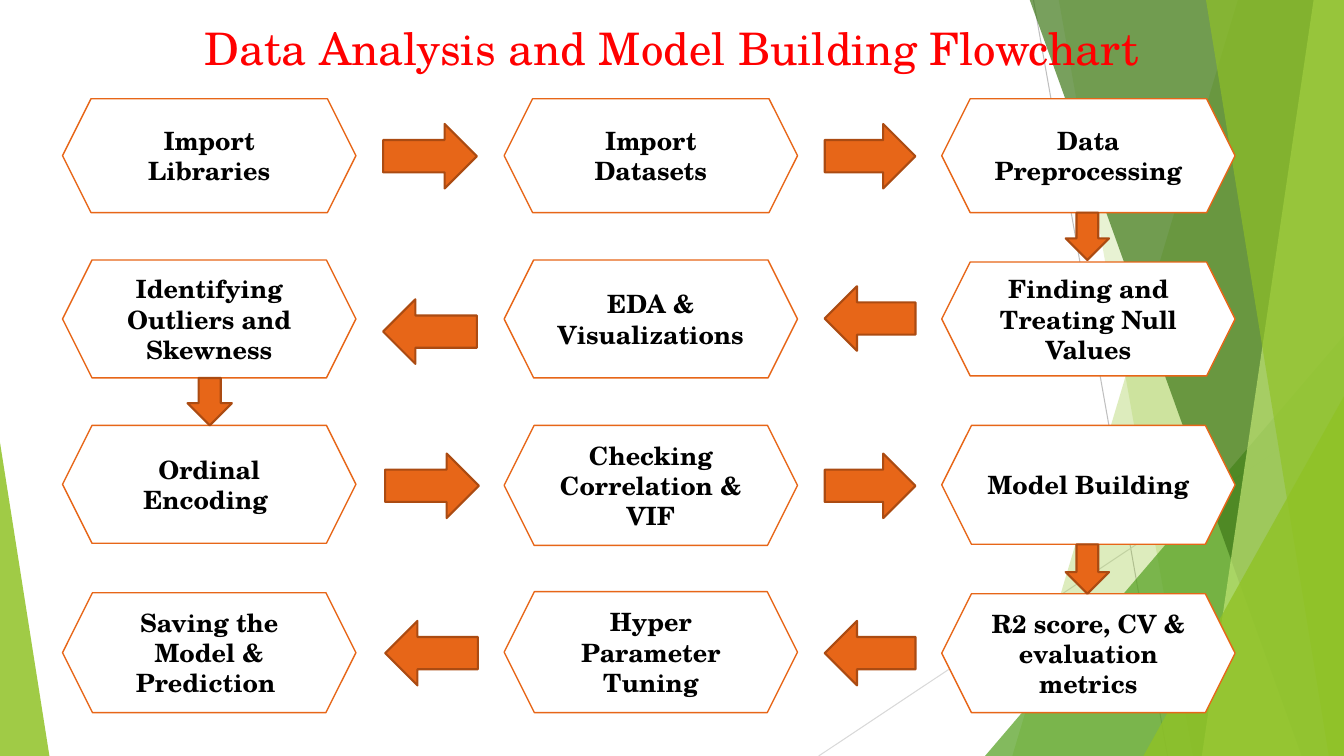
from lxml import etree
from pptx import Presentation
from pptx.dml.color import RGBColor
from pptx.enum.shapes import MSO_CONNECTOR, MSO_SHAPE
from pptx.enum.text import MSO_ANCHOR, MSO_AUTO_SIZE, PP_ALIGN
from pptx.oxml.ns import qn
from pptx.util import Inches, Pt

STRAIGHT = MSO_CONNECTOR.STRAIGHT
TRIANGLE = MSO_SHAPE.ISOSCELES_TRIANGLE
HEXAGON = MSO_SHAPE.HEXAGON
RIGHT = MSO_SHAPE.RIGHT_ARROW
LEFT = MSO_SHAPE.LEFT_ARROW
DOWN = MSO_SHAPE.DOWN_ARROW
CENTER = PP_ALIGN.CENTER

FONT = "TeX Gyre Schola"
COLORS = {
    "white": "FFFFFF", "black": "000000", "title": "FF0000",
    "orange": "E76618", "rust": "AB4B12",
    "green": "90C226", "mid green": "54A021", "dark green": "3F7819", "lime": "C0E474",
    "grey": "BFBFBF", "light grey": "D9D9D9",
}
WIDTH, HEIGHT = 13.33, 7.5


def paint(shape, fill, line=None, line_width=1, opacity=100):
    """Set fill, outline and fill opacity (percent) and drop the shadow."""
    shape.shadow.inherit = False
    shape.fill.solid()
    shape.fill.fore_color.rgb = RGBColor.from_string(COLORS[fill])
    if opacity < 100:
        color = shape.fill._xPr.find(qn("a:solidFill"))[0]
        etree.SubElement(color, qn("a:alpha")).set("val", str(opacity * 1000))
    if line:
        shape.line.color.rgb = RGBColor.from_string(COLORS[line])
        shape.line.width = Pt(line_width)
    else:
        shape.line.fill.background()


def write(shape, text, size, color, bold=False):
    frame = shape.text_frame
    frame.word_wrap = True
    frame.text = text
    paragraph = frame.paragraphs[0]
    paragraph.alignment = CENTER
    font = paragraph.runs[0].font
    font.name, font.size, font.bold = FONT, Pt(size), bold
    font.color.rgb = RGBColor.from_string(COLORS[color])


presentation = Presentation()
presentation.slide_width = Inches(WIDTH)
presentation.slide_height = Inches(HEIGHT)
slide = presentation.slides.add_slide(presentation.slide_layouts[6])
shapes = slide.shapes

# Background: thin lines, then translucent green facets
for x1, y1, x2, y2, color in [
    (10.25, 0, 11.58, HEIGHT, "grey"),
    (WIDTH, 4.03, 8.12, HEIGHT, "light grey"),
]:
    connector = shapes.add_connector(STRAIGHT, Inches(x1), Inches(y1), Inches(x2), Inches(y2))
    connector.line.color.rgb = RGBColor.from_string(COLORS[color])
    connector.line.width = Pt(0.75)
    etree.SubElement(connector._element.spPr, qn("a:effectLst"))

# A band runs from its top x to its bottom x and fills up to the right edge;
# a corner is a right triangle standing on the bottom edge.
facets = [
    ("band", (12.28, 10.04), "green", 30),
    ("band", (10.5, 11.83), "green", 20),
    ("corner", (9.77, 3.33, 3.56, 1), "mid green", 72),
    ("band", (10.21, 12.91), "dark green", 70),
    ("band", (13.03, 11.92), "lime", 70),
    ("band", (11.96, 13.18), "green", 65),
    ("corner", (11.34, 3.93, 1.99, 1), "green", 80),
    ("corner", (0, 4.39, 0.49, 0), "green", 85),
]
for kind, geometry, color, opacity in facets:
    if kind == "band":
        top_x, bottom_x = geometry
        builder = shapes.build_freeform(Inches(top_x), Inches(-0.01))
        corners = [(WIDTH, -0.01), (WIDTH, HEIGHT), (bottom_x, HEIGHT)]
        builder.add_line_segments([(Inches(x), Inches(y)) for x, y in corners], close=True)
        facet = builder.convert_to_shape()
    else:
        left, top, width, apex = geometry
        facet = shapes.add_shape(TRIANGLE, Inches(left), Inches(top),
                                 Inches(width), Inches(HEIGHT - top))
        facet.adjustments[0] = apex
    paint(facet, color, opacity=opacity)

title = shapes.add_textbox(0, Inches(0.16), Inches(WIDTH), Inches(0.64))
write(title, "Data Analysis and Model Building Flowchart", 32, "title")
title.text_frame.auto_size = MSO_AUTO_SIZE.SHAPE_TO_FIT_TEXT

# Steps: column, top, height, text, in the order of the flow
column_lefts = [0.62, 5, 9.34]
steps = [
    (0, 0.98, 1.13, "Import Libraries"),
    (1, 0.98, 1.13, "Import Datasets"),
    (2, 0.98, 1.13, "Data Preprocessing"),
    (2, 2.6, 1.13, "Finding and Treating Null Values"),
    (1, 2.58, 1.17, "EDA & Visualizations"),
    (0, 2.58, 1.17, "Identifying Outliers and Skewness"),
    (0, 4.22, 1.17, "Ordinal Encoding "),
    (1, 4.22, 1.19, "Checking Correlation & VIF"),
    (2, 4.22, 1.18, "Model Building"),
    (2, 5.89, 1.18, "R2 score, CV & evaluation metrics"),
    (1, 5.87, 1.2, "Hyper Parameter Tuning"),
    (0, 5.88, 1.19, "Saving the Model & Prediction "),
]
for column, top, height, text in steps:
    step = shapes.add_shape(HEXAGON, Inches(column_lefts[column]), Inches(top),
                            Inches(2.91), Inches(height))
    paint(step, "white", "orange")
    write(step, text, 18, "black", bold=True)
    step.text_frame.vertical_anchor = MSO_ANCHOR.MIDDLE

arrows = [
    (RIGHT, 3.8, 1.23, 0.93, 0.64),
    (RIGHT, 8.18, 1.23, 0.9, 0.64),
    (DOWN, 10.57, 2.11, 0.43, 0.47),
    (LEFT, 8.18, 2.84, 0.9, 0.64),
    (LEFT, 3.8, 2.97, 0.93, 0.64),
    (DOWN, 1.86, 3.75, 0.44, 0.47),
    (RIGHT, 3.82, 4.5, 0.93, 0.64),
    (RIGHT, 8.18, 4.5, 0.9, 0.64),
    (DOWN, 10.57, 5.4, 0.43, 0.49),
    (LEFT, 8.18, 6.16, 0.9, 0.64),
    (LEFT, 3.82, 6.16, 0.92, 0.64),
]
for direction, *box in arrows:
    arrow = shapes.add_shape(direction, *[Inches(length) for length in box])
    paint(arrow, "orange", "rust", 1.5)

presentation.save("out.pptx")
